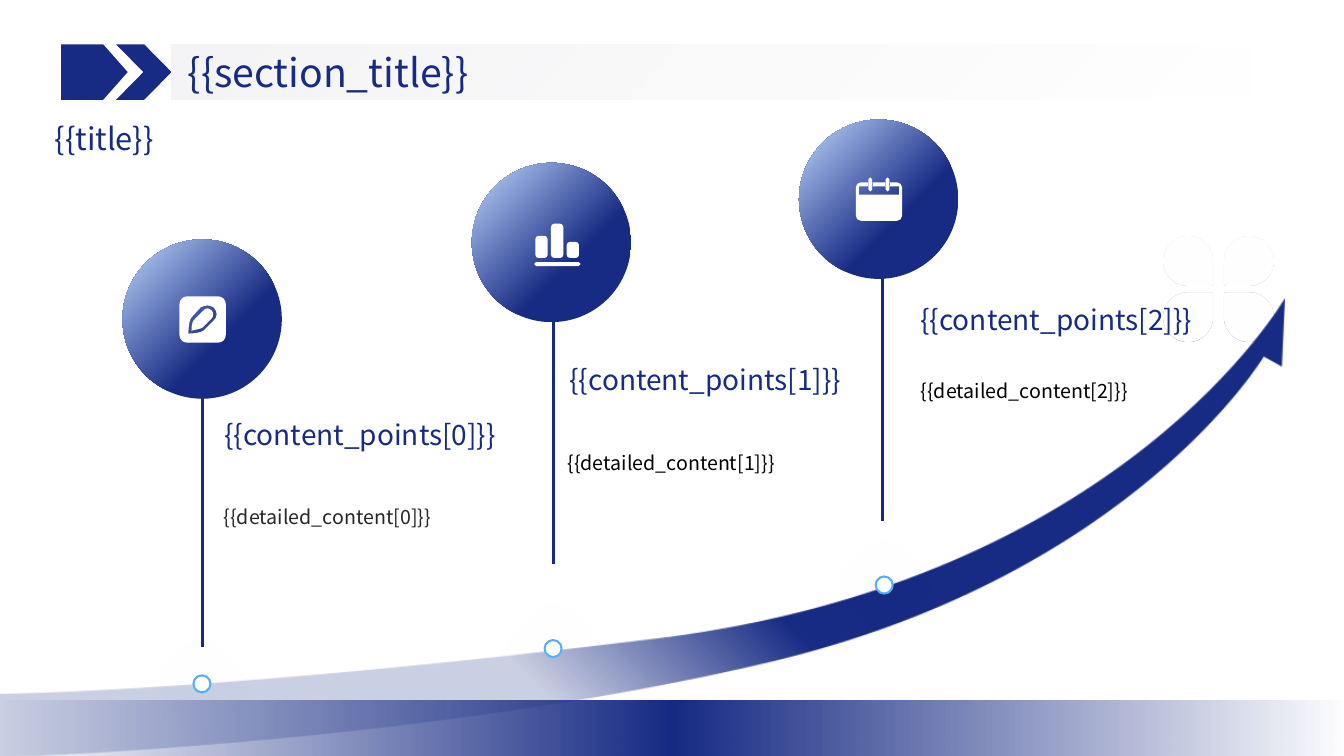
from lxml.etree import SubElement
from pptx import Presentation
from pptx.dml.color import RGBColor
from pptx.enum.shapes import MSO_CONNECTOR, MSO_SHAPE
from pptx.enum.text import MSO_ANCHOR, MSO_AUTO_SIZE, PP_ALIGN
from pptx.oxml import parse_xml
from pptx.oxml.ns import nsdecls, qn
from pptx.util import Pt

FONT = "Noto Sans CJK SC"
COLORS = {
    "navy": "172B84", "sky": "C0D8FD", "ring": "57AFFA", "white": "FFFFFF",
    "black": "000000", "ink": "262626", "mist": "F5F5F7", "haze": "F6F7F7",
}
# Angle in degrees, then stops of position, colour and opacity in percent
GRADIENTS = {
    "ball": (225, [(37, "navy", 100), (100, "sky", 100)]),
    "petals": (90, [(13, "white", 21), (98, "white", 82)]),
    "swoosh": (315, [(35, "navy", 22), (53, "navy", 100)]),
    "header": (45, [(0, "mist", 100), (100, "haze", 0)]),
    "footer": (0, [(0, "navy", 0), (50, "navy", 100), (100, "navy", 0)]),
}
HEADER_TOP, BAND_HEIGHT = 31.7, 39.6
BALL_SIZE, DOT_SIZE, STEM_LENGTH = 113.8, 12.2, 186.4
ARC_PULL = 0.55  # how far the handles of a quarter circle reach to its corner
# Per milestone: ball corner, stem top, dot corner,
# then heading and detail as left, top, width, and the detail colour
MILESTONES = [
    ((87.5, 171), (144.7, 275.8), (138.2, 482.4),
     (160.2, 298.1, 220.3), (159.8, 360.7, 219.6), "ink"),
    ((337, 116.3), (395.3, 216.2), (389, 457.2),
     (406.8, 258.5, 214.6), (405.4, 321.8, 213.8), "black"),
    ((570.7, 85.4), (630.4, 185.8), (625.5, 411.8),
     (657.4, 216, 207.4), (657.6, 270.7, 168.5), "black"),
]


def color(name):
    return RGBColor.from_string(COLORS[name])


def paint(shape, fill):
    """Fill a shape with a named gradient or colour, without line or shadow."""
    shape.shadow.inherit = False
    shape.line.fill.background()
    if fill not in GRADIENTS:
        shape.fill.solid()
        shape.fill.fore_color.rgb = color(fill)
        return
    angle, stops = GRADIENTS[fill]
    stop_xml = "".join(
        f'<a:gs pos="{position * 1000}"><a:srgbClr val="{COLORS[name]}">'
        f'<a:alpha val="{opacity * 1000}"/></a:srgbClr></a:gs>'
        for position, name, opacity in stops)
    shape.fill.background()
    properties = shape.element.spPr
    properties.replace(properties.find(qn("a:noFill")), parse_xml(
        f'<a:gradFill {nsdecls("a")} rotWithShape="1"><a:gsLst>{stop_xml}</a:gsLst>'
        f'<a:lin ang="{angle * 60000}" scaled="0"/></a:gradFill>'))


def add_preset(page, preset, left, top, width, height, fill, adjustment=None):
    shape = page.shapes.add_shape(preset, Pt(left), Pt(top), Pt(width), Pt(height))
    if adjustment is not None:
        shape.adjustments[0] = adjustment
    paint(shape, fill)
    return shape


def add_outline(page, contours, fill):
    """Draw closed contours as one shape; overlapping contours cut holes.

    A contour is a start point, then steps of one point (line) or three (curve).
    """
    builder = page.shapes.build_freeform(*map(Pt, contours[0][0]))
    for index, (start, *steps) in enumerate(contours):
        if index:
            builder.move_to(*map(Pt, start))
        builder.add_line_segments(
            [(Pt(x), Pt(y)) for step in steps for x, y in step], close=True)
    shape = builder.convert_to_shape()
    segments = iter(list(shape.element.iter(qn("a:lnTo"))))
    for step in (step for contour in contours for step in contour[1:]):
        group = [next(segments) for _ in step]
        if len(group) == 3:
            curve = group[0].makeelement(qn("a:cubicBezTo"))
            group[0].addprevious(curve)
            for segment in group:
                curve.append(segment[0])
                segment.getparent().remove(segment)
    paint(shape, fill)


def rounded(left, top, width, height, *radii):
    """Rectangle contour with one radius, or four clockwise from top left."""
    radii = radii if len(radii) == 4 else radii * 4
    right, bottom = left + width, top + height
    # Each corner with the direction from it back along the edge, and onward
    corners = [((left, top), (0, 1), (1, 0)), ((right, top), (-1, 0), (0, 1)),
               ((right, bottom), (0, -1), (-1, 0)), ((left, bottom), (1, 0), (0, -1))]
    steps = []
    for ((x, y), back, onward), radius in zip(corners, radii):
        handle = radius * (1 - ARC_PULL)
        entry, pull_in, pull_out, leave = (
            (x + reach * direction[0], y + reach * direction[1])
            for direction, reach in ((back, radius), (back, handle),
                                     (onward, handle), (onward, radius)))
        steps.append([entry])
        if radius:
            steps.append([pull_in, pull_out, leave])
    return [steps[0][0], *steps[1:]]


def set_text(box, text, size, name, margins=(0, 0), anchor=MSO_ANCHOR.TOP):
    frame = box.text_frame
    frame.word_wrap = True
    frame.auto_size = MSO_AUTO_SIZE.SHAPE_TO_FIT_TEXT
    frame.vertical_anchor = anchor
    frame.margin_left = frame.margin_right = Pt(margins[0])
    frame.margin_top = frame.margin_bottom = Pt(margins[1])
    para = frame.paragraphs[0]
    para.text = text
    para.alignment = PP_ALIGN.LEFT
    para.font.size, para.font.name = Pt(size), FONT
    para.font.color.rgb = color(name)


def add_text(page, left, top, width, height, *style, **layout):
    box = page.shapes.add_textbox(Pt(left), Pt(top), Pt(width), Pt(height))
    set_text(box, *style, **layout)


def add_stem(page, x, top):
    stem = page.shapes.add_connector(
        MSO_CONNECTOR.STRAIGHT, Pt(x), Pt(top), Pt(x), Pt(top + STEM_LENGTH))
    stem.line.color.rgb = color("navy")
    stem.line.width = Pt(2)
    SubElement(stem.element.spPr, qn("a:effectLst"))


def add_dot(page, left, top):
    dot = add_preset(page, MSO_SHAPE.OVAL, left, top, DOT_SIZE, DOT_SIZE, "white")
    dot.line.color.rgb = color("ring")
    dot.line.width = Pt(1.5)
    glow = SubElement(dot.element.spPr.find(qn("a:effectLst")), qn("a:outerShdw"),
                      blurRad=str(Pt(62)), dist="0", dir="0", algn="ctr")
    shade = SubElement(glow, qn("a:srgbClr"), val=COLORS["black"])
    SubElement(shade, qn("a:alpha"), val="15000")


def add_milestone(page, index, ball, stem, dot, heading, detail, detail_color):
    add_stem(page, *stem)
    add_preset(page, MSO_SHAPE.FLOWCHART_CONNECTOR, *ball, BALL_SIZE, BALL_SIZE, "ball")
    add_dot(page, *dot)
    add_text(page, *heading, 24.5, f"{{{{content_points[{index}]}}}}", 20, "navy",
             anchor=MSO_ANCHOR.MIDDLE)
    add_text(page, *detail, 17.3, f"{{{{detailed_content[{index}]}}}}", 14, detail_color)


def add_icons(page):
    nib = [
        (148.3, 218.2), [(146.9, 218.2), (144.7, 218.9), (143.3, 219.6)],
        [(136.8, 226.8)], [(134.6, 229), (134.6, 238.3), (134.6, 238.3)],
        [(134.6, 238.3), (144, 238.3), (146.2, 235.4)], [(152.6, 229)],
        [(155.5, 226.8), (155.5, 222.5), (152.6, 219.6)],
        [(151.2, 218.9), (149.8, 218.2), (148.3, 218.2)]]
    nib_core = [
        (148.3, 220.3), [(149, 220.3), (150.5, 221), (151.2, 221.8)],
        [(152.6, 223.2), (152.6, 226.1), (151.2, 227.5)], [(144.7, 234)],
        [(144, 234.7), (140.4, 235.4), (136.8, 236.2)],
        [(136.8, 232.6), (137.5, 229), (139, 228.2)], [(145.4, 221.8)],
        [(146.2, 221), (146.9, 220.3), (148.3, 220.3)]]
    add_outline(page, [rounded(128.2, 211.7, 33.1, 33.1, 5.5), nib, nib_core], "white")

    bars = [rounded(382.4 + 11.2 * index, top, 8.8, 184.3 - top, 2.3)
            for index, top in enumerate((168.5, 159.8, 172.8))]
    add_outline(page, [rounded(381.6, 187.2, 33.1, 2.9, 1.4), *bars], "white")

    calendar = [rounded(611.3, 130.3, 33.1, 27.4, 3.6), rounded(613.5, 133.2, 28.8, 5.8, 0)]
    for left in (619.9, 632.2):
        calendar.append(rounded(left, 130.3, 3.6, 2.9, 0))
        calendar.append(rounded(left + 0.5, 126.7, 2.6, 10.1, 1.3))
    add_outline(page, calendar, "white")


def add_backdrop(page):
    # The petal corner that faces the middle is nearly square
    petals = [rounded(left, top, 35.1, 35.1,
                      *(1.5 if corner == inner else 17.5 for corner in range(4)))
              for left, top, inner in ((831.4, 169.2, 2), (874.1, 169.2, 3),
                                       (831.4, 208.8, 1), (874.1, 208.8, 0))]
    add_outline(page, petals, "petals")
    swoosh = [
        (0, 540.7), [(0, 540.7), (300.2, 532.1), (551.5, 472.3)],
        [(809.3, 410.4), (902.2, 254.9), (902.2, 254.9)], [(915.1, 262.1)],
        [(917.3, 213.1)], [(917.3, 213.1), (802.1, 414.7), (470.2, 455.8)],
        [(153.4, 494.6), (0, 495.4), (0, 495.4)]]
    add_outline(page, [swoosh], "swoosh")


def add_header(page):
    for preset, left, width, fill, adjustment in (
            (MSO_SHAPE.PENTAGON, 43.7, 47.5, "navy", 0.442),
            (MSO_SHAPE.CHEVRON, 82.9, 39.6, "navy", 0.493),
            (MSO_SHAPE.RECTANGLE, 122.8, 771.1, "header", None)):
        add_preset(page, preset, left, HEADER_TOP, width, BAND_HEIGHT, fill, adjustment)
    title = page.shapes.title
    title.left, title.top, title.width, title.height = Pt(134.2), Pt(34.6), Pt(583.2), Pt(33.8)
    set_text(title, "{{section_title}}", 28, "navy", anchor=MSO_ANCHOR.MIDDLE)
    page.shapes.element.append(title.element)  # bring in front of the band


def main():
    deck = Presentation()
    deck.slide_width, deck.slide_height = Pt(960), Pt(540)
    page = deck.slides.add_slide(deck.slide_layouts.get_by_name("Title Only"))
    add_backdrop(page)
    for index, milestone in enumerate(MILESTONES):
        add_milestone(page, index, *milestone)
    add_icons(page)
    add_header(page)
    add_preset(page, MSO_SHAPE.PARALLELOGRAM, 0, 500.4, 960, BAND_HEIGHT, "footer", 0)
    add_text(page, 32, 82.1, 518.4, 33.8, "{{title}}", 22, "navy", margins=(7.2, 3.6))
    deck.save("out.pptx")


if __name__ == "__main__":
    main()
